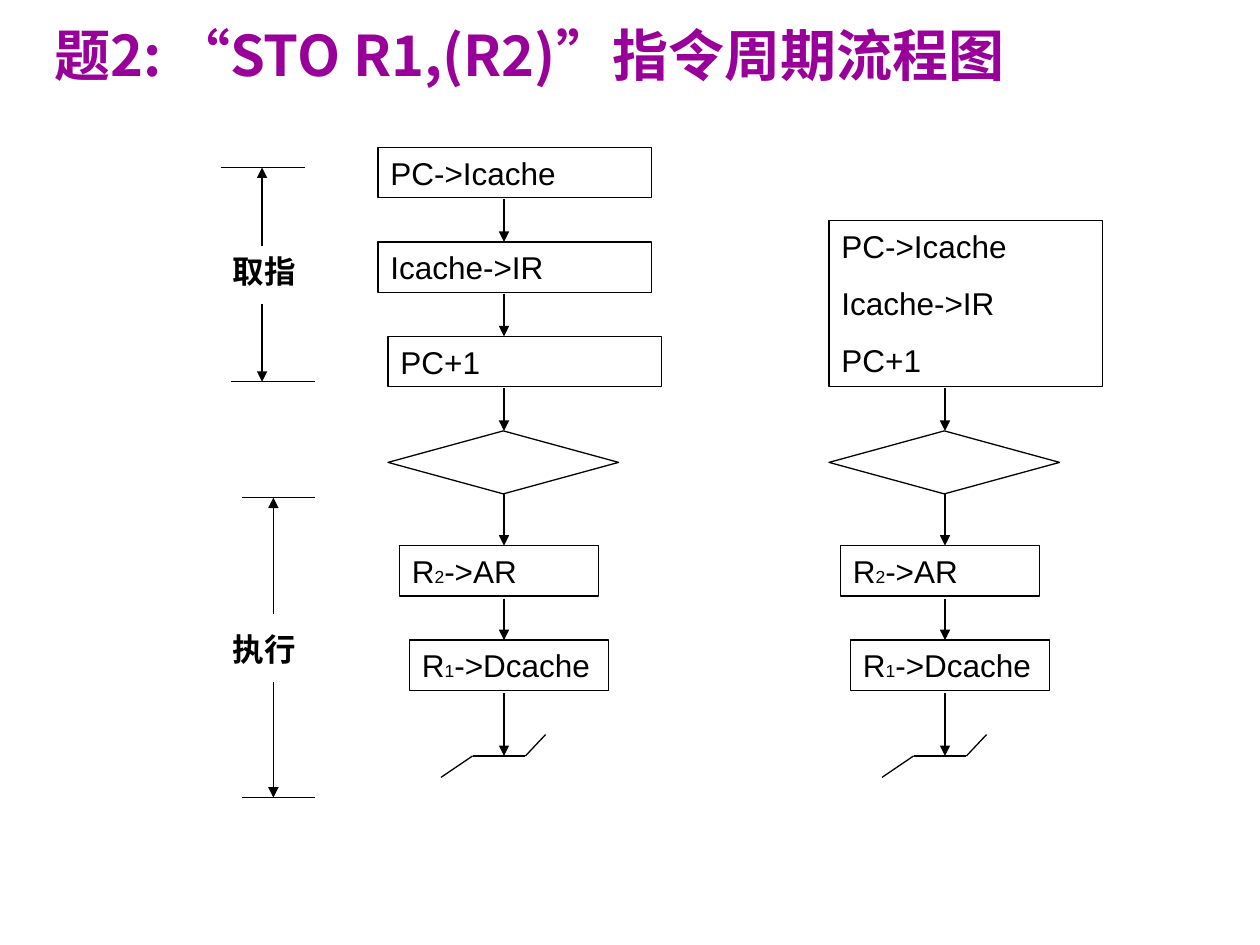
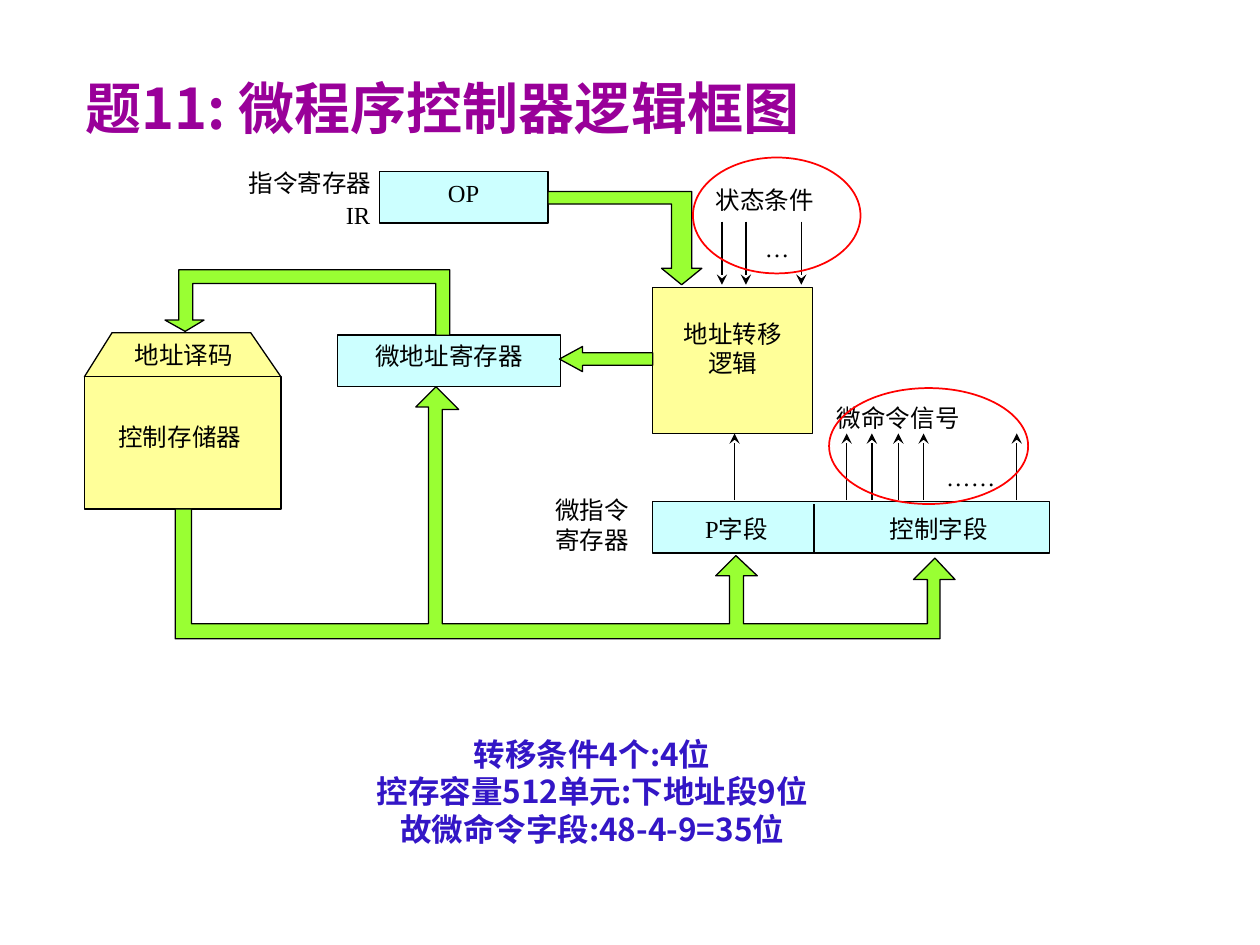
from dataclasses import dataclass, replace
from typing import Optional

from lxml import etree
from pptx import Presentation
from pptx.dml.color import RGBColor
from pptx.enum.shapes import MSO_CONNECTOR, MSO_SHAPE
from pptx.enum.text import MSO_ANCHOR, MSO_AUTO_SIZE, PP_ALIGN
from pptx.oxml.ns import qn
from pptx.util import Inches, Pt

RECTANGLE, DIAMOND, ELLIPSE = MSO_SHAPE.RECTANGLE, MSO_SHAPE.DIAMOND, MSO_SHAPE.OVAL
LEFT_ARROW = MSO_SHAPE.LEFT_ARROW
STRAIGHT = MSO_CONNECTOR.STRAIGHT
TOP, BOTTOM = MSO_ANCHOR.TOP, MSO_ANCHOR.BOTTOM
NO_AUTOFIT = MSO_AUTO_SIZE.NONE
LEFT, CENTER, RIGHT = PP_ALIGN.LEFT, PP_ALIGN.CENTER, PP_ALIGN.RIGHT

BLACK, WHITE, RED = "000000", "FFFFFF", "FF0000"
PURPLE, BLUE = "990099", "3316C6"
CYAN, YELLOW, GREEN = "CCFFFF", "FFFF99", "99FF33"
CHINESE_FONT = "Noto Sans CJK SC"
LINE_WIDTH = 0.75
SUBSCRIPT_MARK, SUBSCRIPT_SIZE = "_", 10
COLUMN_SHIFT = 3.5


@dataclass(frozen=True)
class TextStyle:
    """Font, alignment and margins of a text."""
    font: str
    size: float
    color: str = BLACK
    bold: bool = False
    align: PP_ALIGN = LEFT
    side_inset: float = 0.1
    top_inset: float = 0.05
    anchor: MSO_ANCHOR = TOP
    space_before: float = 0


@dataclass(frozen=True)
class Box:
    """A preset shape, or a plain text box when kind is None."""
    left: float
    top: float
    width: float
    height: float
    text: str = ""
    style: Optional[TextStyle] = None
    kind: Optional[MSO_SHAPE] = RECTANGLE
    fill: Optional[str] = None
    line: Optional[str] = BLACK
    line_width: float = LINE_WIDTH
    adjustments: tuple[float, ...] = ()


@dataclass(frozen=True)
class Line:
    """A straight line with an optional arrowhead at its end."""
    x1: float
    y1: float
    x2: float
    y2: float
    head: str = ""


TITLE = TextStyle(CHINESE_FONT, 32, PURPLE, True, anchor=BOTTOM)
STEP = TextStyle("Arial", 18, space_before=11.2)
PHASE = replace(STEP, bold=True)
BLOCK = TextStyle("Times New Roman", 14, align=CENTER)
LABEL = replace(BLOCK, side_inset=0, top_inset=0)
LABEL_LEFT = replace(LABEL, align=LEFT)
LABEL_RIGHT = replace(LABEL, align=RIGHT)
LOGIC = replace(BLOCK, top_inset=0.25)
ANSWER = TextStyle(CHINESE_FONT, 18, BLUE, True, CENTER, 0, 0)


def rgb(color: str) -> RGBColor:
    """Turn a hex string into a colour."""
    return RGBColor.from_string(color)


def write_text(shape, text: str, style: TextStyle) -> None:
    """Write one paragraph per line of text in the given style."""
    frame = shape.text_frame
    frame.word_wrap = True
    frame.auto_size = NO_AUTOFIT
    frame.vertical_anchor = style.anchor
    frame.margin_left = frame.margin_right = Inches(style.side_inset)
    frame.margin_top = Inches(style.top_inset)
    frame.margin_bottom = Inches(min(style.top_inset, 0.05))
    for index, content in enumerate(text.split("\n")):
        paragraph = frame.add_paragraph() if index else frame.paragraphs[0]
        paragraph.alignment = style.align
        paragraph.space_before = Pt(style.space_before if index else 0)
        font = paragraph.font
        font.name, font.size, font.bold = style.font, Pt(style.size), style.bold
        font.color.rgb = rgb(style.color)
        defaults = paragraph._p.pPr.find(qn("a:defRPr"))
        etree.SubElement(defaults, qn("a:ea"), typeface=CHINESE_FONT)
        start, mark, rest = content.partition(SUBSCRIPT_MARK)
        paragraph.add_run().text = start
        if mark:
            subscript = paragraph.add_run()
            subscript.text = rest[0]
            subscript.font.size = Pt(SUBSCRIPT_SIZE)
            paragraph.add_run().text = rest[1:]


def paint(shape, fill: Optional[str], line: Optional[str], width: float) -> None:
    """Set fill and outline, and remove the shadow."""
    shape.shadow.inherit = False
    if fill:
        shape.fill.solid()
        shape.fill.fore_color.rgb = rgb(fill)
    else:
        shape.fill.background()
    if line:
        shape.line.color.rgb = rgb(line)
        shape.line.width = Pt(width)
    else:
        shape.line.fill.background()


def draw_box(slide, box: Box) -> None:
    """Draw a box with its text."""
    bounds = [Inches(value) for value in (box.left, box.top, box.width, box.height)]
    if box.kind is None:
        shape = slide.shapes.add_textbox(*bounds)
    else:
        shape = slide.shapes.add_shape(box.kind, *bounds)
        paint(shape, box.fill, box.line, box.line_width)
        for index, value in enumerate(box.adjustments):
            shape.adjustments[index] = value
    if box.text:
        write_text(shape, box.text, box.style)


def draw_line(slide, line: Line) -> None:
    """Draw a line or an arrow."""
    ends = [Inches(value) for value in (line.x1, line.y1, line.x2, line.y2)]
    connector = slide.shapes.add_connector(STRAIGHT, *ends)
    connector.line.color.rgb = rgb(BLACK)
    connector.line.width = Pt(LINE_WIDTH)
    properties = connector._element.spPr
    if line.head:
        etree.SubElement(properties.find(qn("a:ln")), qn("a:tailEnd"), type=line.head)
    etree.SubElement(properties, qn("a:effectLst"))


def draw_outline(slide, points: list[tuple[float, float]], fill: str) -> None:
    """Draw a closed polygon."""
    corners = [(Inches(x), Inches(y)) for x, y in points]
    builder = slide.shapes.build_freeform(*corners[0])
    builder.add_line_segments(corners[1:], close=True)
    paint(builder.convert_to_shape(), fill, BLACK, LINE_WIDTH)


def add_titled_slide(presentation, title: str, left: float, top: float):
    """Add a title-only slide with a formatted title."""
    slide = presentation.slides.add_slide(presentation.slide_layouts[5])
    shape = slide.shapes.title
    shape.left, shape.top = Inches(left), Inches(top)
    shape.width, shape.height = Inches(8.5), Inches(0.75)
    write_text(shape, title, TITLE)
    return slide


def draw_phase(slide, name: str, label_top: float, axis: float,
               bars: tuple[Line, Line], gap: tuple[float, float]) -> None:
    """Draw a phase bracket: two bars, a name and arrows towards the bars."""
    upper, lower = bars
    draw_box(slide, Box(1.75, label_top, 0.83, 0.4, name, PHASE, kind=None))
    for line in (upper, lower, Line(axis, gap[0], axis, upper.y1, "triangle"),
                 Line(axis, gap[1], axis, lower.y1, "triangle")):
        draw_line(slide, line)


def draw_execution(slide, shift: float) -> None:
    """Draw the decision, the execution steps and the end mark of a flow."""
    axis = 4 + shift
    draw_box(slide, Box(3.08 + shift, 3.42, 1.83, 0.5, kind=DIAMOND, fill=WHITE))
    draw_box(slide, Box(3.17 + shift, 4.33, 1.58, 0.4, "R_2->AR", STEP))
    draw_box(slide, Box(3.25 + shift, 5.08, 1.58, 0.4, "R_1->Dcache", STEP))
    for start, end in ((3.08, 3.42), (3.92, 4.33), (4.75, 5.08), (5.5, 6)):
        draw_line(slide, Line(axis, start, axis, end, "triangle"))
    end_mark = [(3.5, 6.17), (3.75, 6), (4.17, 6), (4.33, 5.83)]
    for (x1, y1), (x2, y2) in zip(end_mark, end_mark[1:]):
        draw_line(slide, Line(x1 + shift, y1, x2 + shift, y2))


def build_flow_slide(presentation) -> None:
    """Build the instruction cycle flow charts."""
    slide = add_titled_slide(presentation, "题2: “STO R1,(R2)”指令周期流程图", 0.33, 0)
    draw_phase(slide, "取指", 1.95, 2.08,
               (Line(1.75, 1.33, 2.42, 1.33), Line(1.83, 3.03, 2.5, 3.03)), (1.95, 2.41))
    draw_phase(slide, "执行", 4.95, 2.17,
               (Line(1.92, 3.95, 2.5, 3.95), Line(1.92, 6.33, 2.5, 6.33)), (4.87, 5.41))
    fetch_steps = ("PC->Icache", "Icache->IR", "PC+1")
    for index, (left, step) in enumerate(zip((3, 3, 3.08), fetch_steps)):
        draw_box(slide, Box(left, 1.17 + 0.75 * index, 2.17, 0.4, step, STEP))
    for start, end in ((1.58, 1.92), (2.33, 2.67)):
        draw_line(slide, Line(4, start, 4, end, "triangle"))
    draw_box(slide, Box(6.58, 1.75, 2.17, 1.32, "\n".join(fetch_steps), STEP))
    for shift in (0, COLUMN_SHIFT):
        draw_execution(slide, shift)


REGISTERS = [
    Box(5.18, 3.98, 3.15, 0.41, fill=CYAN),
    Box(5.18, 2.28, 1.27, 1.16, "地址转移\n逻辑", LOGIC, fill=YELLOW),
    Box(3.01, 1.36, 1.34, 0.41, "OP", BLOCK, fill=CYAN),
    Box(2.68, 2.66, 1.77, 0.41, "微地址寄存器", BLOCK, fill=CYAN),
    Box(0.67, 2.99, 1.56, 1.05, fill=YELLOW),
    Box(0.91, 2.7, 1.1, 0.27, "地址译码", LABEL, fill=YELLOW, line=None),
    Box(0.94, 3.35, 1.11, 0.33, "控制存储器", LABEL_LEFT, fill=YELLOW, line=None),
    Box(4.44, 2.75, 0.74, 0.2, kind=LEFT_ARROW, fill=GREEN, adjustments=(0.5, 0.92)),
]
LABELS = [
    Box(5.32, 4.08, 1.05, 0.29, "P字段", LABEL, kind=None),
    Box(6.78, 4.08, 1.34, 0.29, "控制字段", LABEL, kind=None),
    Box(7.31, 3.67, 0.79, 0.29, "……", LABEL, kind=None),
    Box(6.46, 3.2, 1.34, 0.27, "微命令信号", LABEL, kind=None),
    Box(1.79, 1.33, 1.34, 0.29, "指令寄存器", LABEL, kind=None),
    Box(2.68, 1.59, 0.26, 0.3, "IR", LABEL_RIGHT, kind=None),
    Box(6.07, 1.85, 0.29, 0.29, "…", LABEL_LEFT, kind=None),
    Box(5.57, 1.47, 1, 0.26, "状态条件", LABEL, kind=None),
    Box(4.2, 3.93, 0.79, 0.56, "微指令\n寄存器", LABEL_RIGHT, kind=None),
    Box(2.5, 5.83, 4.4, 1.03, "转移条件4个:4位\n控存容量512单元:下地址段9位\n"
        "故微命令字段:48-4-9=35位", ANSWER, kind=None),
]
HIGHLIGHTS = [
    Box(6.58, 3.08, 1.58, 0.92, kind=ELLIPSE, line=RED, line_width=1),
    Box(5.5, 1.25, 1.33, 0.92, kind=ELLIPSE, line=RED, line_width=1),
]
DECODER = [(0.89, 2.64), (1.99, 2.64), (2.23, 2.99), (0.67, 2.99)]
OPCODE_PATH = [
    (5.41, 2.26), (5.25, 2.13), (5.33, 2.13), (5.33, 1.62), (4.35, 1.62),
    (4.35, 1.52), (5.49, 1.52), (5.49, 2.13), (5.57, 2.13),
]
ADDRESS_PATH = [
    (3.46, 2.66), (3.46, 2.25), (1.53, 2.25), (1.53, 2.54), (1.62, 2.54), (1.47, 2.63),
    (1.31, 2.54), (1.42, 2.54), (1.42, 2.14), (3.57, 2.14), (3.57, 2.66),
]
MEMORY_BUS = [
    (1.52, 4.04), (1.52, 4.95), (3.4, 4.95), (3.4, 3.23), (3.3, 3.23), (3.46, 3.07),
    (3.64, 3.25), (3.51, 3.25), (3.51, 4.95), (5.79, 4.95), (5.79, 4.57), (5.68, 4.57),
    (5.84, 4.41), (6.01, 4.57), (5.9, 4.57), (5.9, 4.95), (7.36, 4.95), (7.36, 4.6),
    (7.25, 4.6), (7.42, 4.43), (7.58, 4.6), (7.46, 4.6), (7.46, 5.07), (1.39, 5.07),
    (1.39, 4.04),
]


def build_controller_slide(presentation) -> None:
    """Build the microprogram controller block diagram."""
    slide = add_titled_slide(presentation, "题11: 微程序控制器逻辑框图", 0.58, 0.42)
    draw_outline(slide, DECODER, YELLOW)
    for box in REGISTERS:
        draw_box(slide, box)
    draw_line(slide, Line(6.46, 4, 6.46, 4.39))
    for x in (5.83, 6.72, 6.92, 7.13, 7.33, 8.07):
        draw_line(slide, Line(x, 3.97, x, 3.44, "stealth"))
    for x in (5.73, 5.92, 6.36):
        draw_line(slide, Line(x, 1.76, x, 2.26, "stealth"))
    for box in LABELS:
        draw_box(slide, box)
    for points in (OPCODE_PATH, ADDRESS_PATH, MEMORY_BUS):
        draw_outline(slide, points, GREEN)
    for box in HIGHLIGHTS:
        draw_box(slide, box)


def main() -> None:
    """Build and save the presentation."""
    presentation = Presentation()
    presentation.slide_width, presentation.slide_height = Inches(10), Inches(7.5)
    build_flow_slide(presentation)
    build_controller_slide(presentation)
    presentation.save("out.pptx")


if __name__ == "__main__":
    main()
